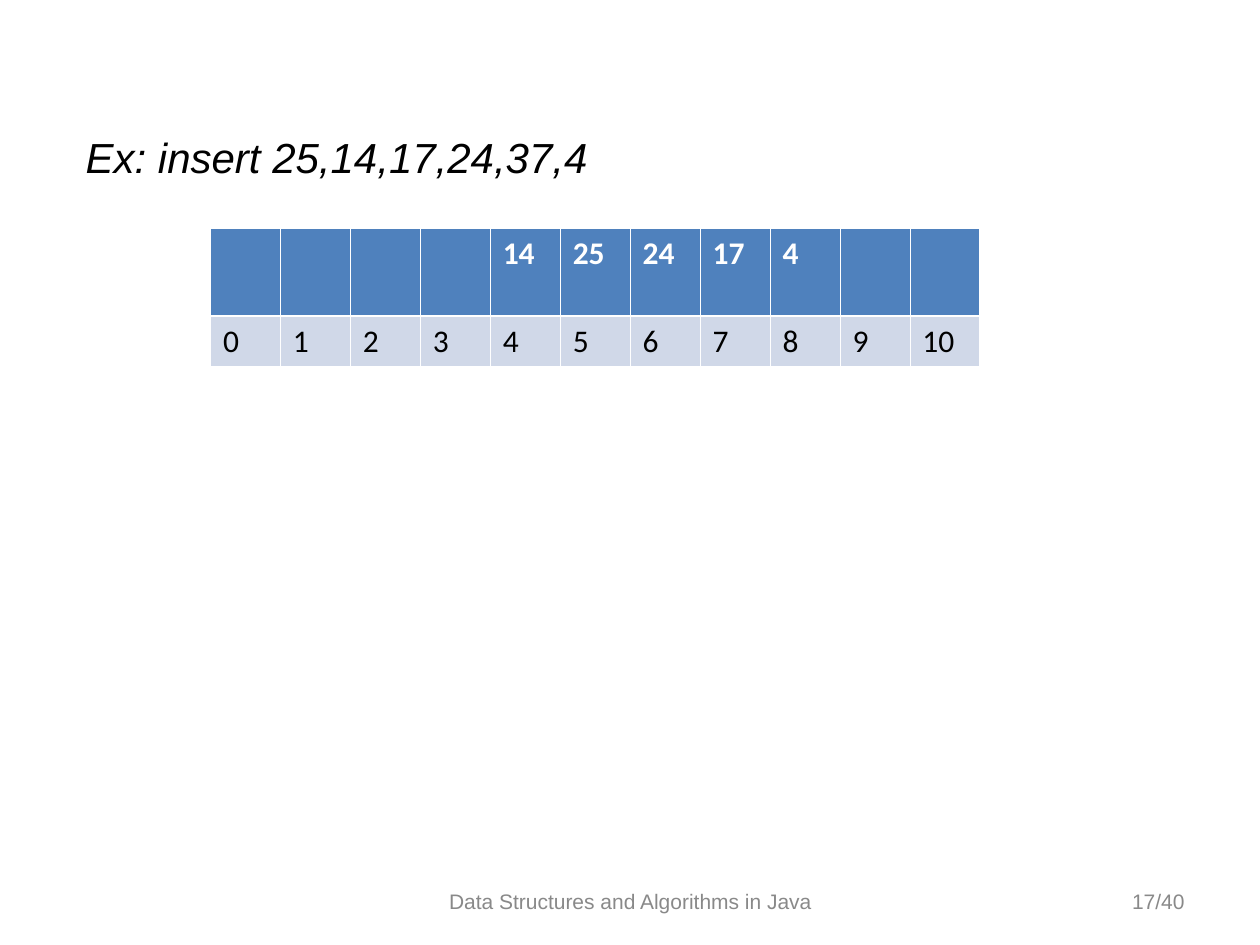
from dataclasses import dataclass

import lxml.etree
import pptx
import pptx.dml.color
import pptx.enum.text
import pptx.oxml.ns
import pptx.util

Inches = pptx.util.Inches
ALIGN = pptx.enum.text.PP_ALIGN
ANCHOR = pptx.enum.text.MSO_ANCHOR


@dataclass(frozen=True)
class Theme:
    text_font: str = "Arial"
    table_font: str = "Calibri"
    title_size: int = 24
    table_size: int = 18
    footer_size: int = 12
    black: str = "000000"
    white: str = "FFFFFF"
    grey: str = "898989"
    value_fill: str = "4F81BD"
    index_fill: str = "D0D8E8"
    thin: float = 0.45
    thick: float = 1.47


THEME = Theme()
SLOTS = ["", "", "", "", "14", "25", "24", "17", "4", "", ""]


def rgb(value):
    return pptx.dml.color.RGBColor.from_string(value)


def style(para, name, size, color, bold=False, italic=False):
    font = para.font
    font.name, font.size = name, pptx.util.Pt(size)
    font.bold, font.italic = bold, italic
    font.color.rgb = rgb(color)


def place_title(page, text, left, top, width, height):
    title = page.shapes.title
    title.left, title.top = Inches(left), Inches(top)
    title.width, title.height = Inches(width), Inches(height)
    frame = title.text_frame
    frame.text = text
    frame.word_wrap = True
    frame.auto_size = pptx.enum.text.MSO_AUTO_SIZE.NONE
    frame.vertical_anchor = ANCHOR.TOP
    para = frame.paragraphs[0]
    para.alignment = ALIGN.LEFT
    style(para, THEME.text_font, THEME.title_size, THEME.black, italic=True)


def add_footer(page, text, align, left, top, width, height):
    box = page.shapes.add_textbox(
        Inches(left), Inches(top), Inches(width), Inches(height))
    frame = box.text_frame
    frame.text = text
    frame.word_wrap = True
    frame.vertical_anchor = ANCHOR.MIDDLE
    para = frame.paragraphs[0]
    para.alignment = align
    style(para, THEME.text_font, THEME.footer_size, THEME.grey)


def add_borders(cell, widths):
    """Draw white cell borders; widths maps L, R, T, B, in that order, to points."""
    properties = cell._tc.get_or_add_tcPr()
    qn = pptx.oxml.ns.qn
    for side, points in widths.items():
        line = lxml.etree.SubElement(
            properties, qn(f"a:ln{side}"), w=str(pptx.util.Pt(points)))
        fill = lxml.etree.SubElement(line, qn("a:solidFill"))
        lxml.etree.SubElement(fill, qn("a:srgbClr"), val=THEME.white)


def add_hash_table(page, slots, left, top, width, row_heights):
    """Show each slot's value above its index."""
    table = page.shapes.add_table(
        2, len(slots), Inches(left), Inches(top),
        Inches(width), Inches(sum(row_heights))).table
    table.horz_banding = False
    for column in table.columns:
        column.width = Inches(width / len(slots))
    rows = [
        (slots, THEME.value_fill, THEME.white, True, "B"),
        (range(len(slots)), THEME.index_fill, THEME.black, False, "T"),
    ]
    for row, (values, fill, color, bold, thick_side) in enumerate(rows):
        table.rows[row].height = Inches(row_heights[row])
        widths = {side: THEME.thick if side == thick_side else THEME.thin
                  for side in "LRTB"}
        for column, value in enumerate(values):
            cell = table.cell(row, column)
            cell.text = str(value)
            add_borders(cell, widths)
            cell.fill.solid()
            cell.fill.fore_color.rgb = rgb(fill)
            style(cell.text_frame.paragraphs[0], THEME.table_font,
                  THEME.table_size, color, bold)


def main():
    deck = pptx.Presentation()
    deck.slide_width, deck.slide_height = Inches(10), Inches(7.5)
    page = deck.slides.add_slide(deck.slide_layouts[5])
    page.background.fill.solid()
    page.background.fill.fore_color.rgb = rgb(THEME.white)

    add_footer(page, "Data Structures and Algorithms in Java", ALIGN.CENTER,
               3.42, 6.95, 3.17, 0.4)
    add_footer(page, "17/40", ALIGN.RIGHT, 7.17, 6.95, 2.33, 0.4)
    add_hash_table(page, SLOTS, 1.67, 1.81, 6.11, (0.7, 0.4))
    place_title(page, "Ex: insert 25,14,17,24,37,4", 0.58, 0.99, 9.42, 0.5)
    deck.save("out.pptx")


if __name__ == "__main__":
    main()
